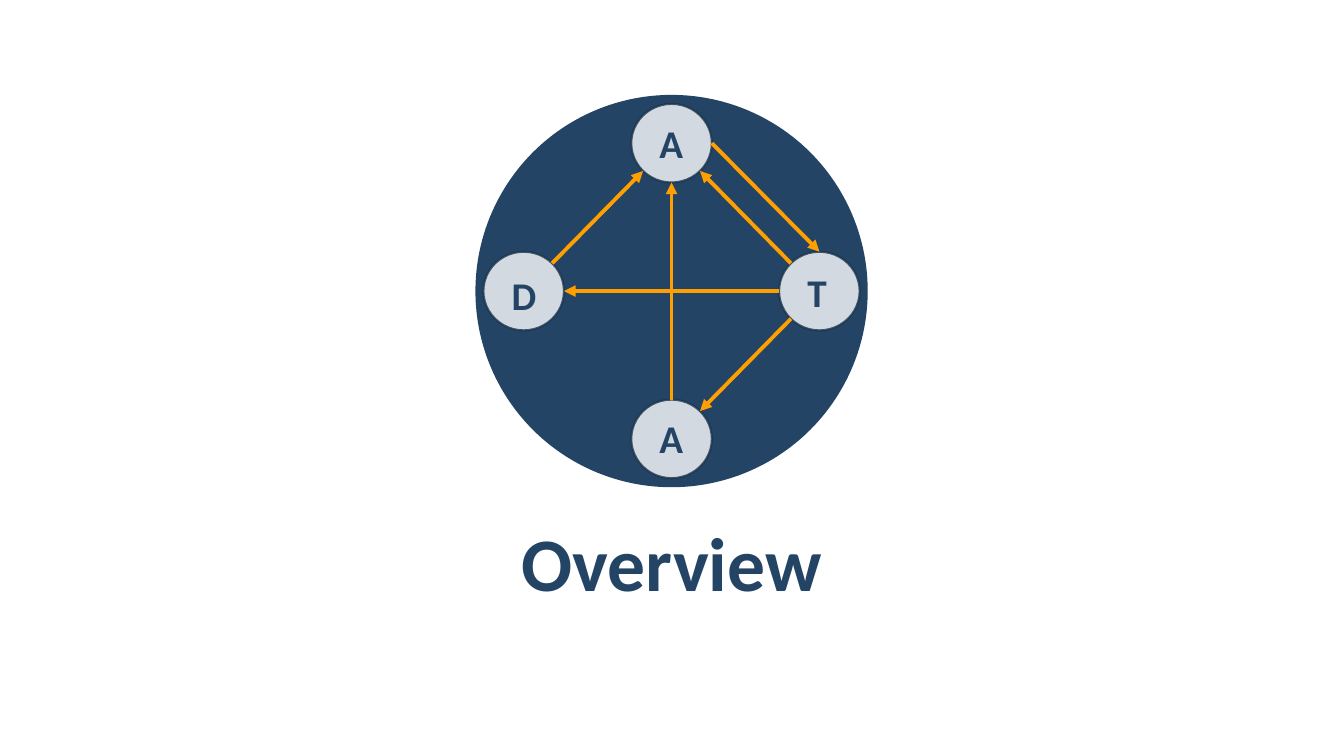
"""Builds the Overview slide: a disc with four lettered nodes joined by arrows."""
from dataclasses import dataclass
from math import cos, radians, sin

from lxml.etree import SubElement
from pptx import Presentation
from pptx.dml.color import RGBColor
from pptx.enum.shapes import MSO_CONNECTOR, MSO_SHAPE
from pptx.enum.text import MSO_ANCHOR, PP_ALIGN
from pptx.oxml.ns import qn
from pptx.shapes.autoshape import Shape
from pptx.slide import Slide
from pptx.util import Inches, Length, Pt

COLORS = {"navy": "234465", "outline": "1A334C", "node": "FFFFFF", "arrow": "FFA000"}
FONT = "Calibri"
COLUMNS, ROWS = 160, 90
CELL = Inches(1 / 12)
CENTER_COLUMN, CENTER_ROW = 79.95, 34.65
DISC_SIZE = 46.7
NODE_WIDTH, NODE_HEIGHT = 9.6, 9.36
LETTER_WIDTH, LETTER_HEIGHT = 6.72, 8.76
ORBIT = 17.6
OPACITY = 80


@dataclass(frozen=True)
class Node:
    letter: str
    angle: int
    letter_shift: float

    @property
    def center(self) -> tuple[float, float]:
        return (CENTER_COLUMN + ORBIT * cos(radians(self.angle)),
                CENTER_ROW - ORBIT * sin(radians(self.angle)))

    def rim(self, angle: int) -> tuple[float, float]:
        column, row = self.center
        return (column + NODE_WIDTH / 2 * cos(radians(angle)),
                row - NODE_HEIGHT / 2 * sin(radians(angle)))


@dataclass(frozen=True)
class Arrow:
    start: Node
    start_angle: int
    end: Node
    end_angle: int


TOP = Node("A", 90, -0.42)
LEFT = Node("D", 180, 0.06)
RIGHT = Node("T", 0, -0.3)
BOTTOM = Node("A", 270, -0.54)
NODES = (TOP, LEFT, RIGHT, BOTTOM)
ARROWS = (
    Arrow(LEFT, 45, TOP, 225),
    Arrow(TOP, 0, RIGHT, 90),
    Arrow(RIGHT, 225, BOTTOM, 45),
    Arrow(BOTTOM, 90, TOP, 270),
    Arrow(RIGHT, 180, LEFT, 0),
    Arrow(RIGHT, 135, TOP, 315),
)


def cells(count: float) -> Length:
    return Length(round(count * CELL))


def color(name: str) -> RGBColor:
    return RGBColor.from_string(COLORS[name])


def frame(center: tuple[float, float], width: float, height: float) -> list[Length]:
    column, row = center
    return [cells(value) for value in (column - width / 2, row - height / 2, width, height)]


def add_ellipse(page: Slide, center: tuple[float, float], width: float, height: float,
                fill: str) -> Shape:
    ellipse = page.shapes.add_shape(MSO_SHAPE.OVAL, *frame(center, width, height))
    ellipse.shadow.inherit = False
    ellipse.fill.solid()
    ellipse.fill.fore_color.rgb = color(fill)
    ellipse.line.fill.background()
    return ellipse


def add_node(page: Slide, node: Node) -> None:
    ellipse = add_ellipse(page, node.center, NODE_WIDTH, NODE_HEIGHT, "node")
    ellipse.line.color.rgb = color("outline")
    ellipse.line.width = Pt(1.5)
    for tint in ellipse._element.spPr.iter(qn("a:srgbClr")):
        SubElement(tint, qn("a:alpha"), val=str(OPACITY * 1000))


def add_arrow(page: Slide, arrow: Arrow) -> None:
    ends = arrow.start.rim(arrow.start_angle) + arrow.end.rim(arrow.end_angle)
    connector = page.shapes.add_connector(MSO_CONNECTOR.STRAIGHT, *map(cells, ends))
    connector.line.color.rgb = color("arrow")
    connector.line.width = Pt(2.75)
    SubElement(connector.line._get_or_add_ln(), qn("a:tailEnd"), type="triangle")
    SubElement(connector._element.spPr, qn("a:effectLst"))


def add_text(page: Slide, text: str, center: tuple[float, float], width: float, height: float,
             size: int, margins: tuple[float, float], align: PP_ALIGN, anchor: MSO_ANCHOR,
             spacing: float = 1.0) -> None:
    box = page.shapes.add_textbox(*frame(center, width, height)).text_frame
    box.word_wrap = True
    box.vertical_anchor = anchor
    box.margin_left = box.margin_right = Inches(margins[0])
    box.margin_top = box.margin_bottom = Inches(margins[1])
    para = box.paragraphs[0]
    para.text = text
    para.alignment = align
    para.line_spacing = spacing
    para.font.name = FONT
    para.font.size = Pt(size)
    para.font.bold = True
    para.font.color.rgb = color("navy")


def add_letter(page: Slide, node: Node) -> None:
    column, row = node.center
    add_text(page, node.letter, (column, row + node.letter_shift), LETTER_WIDTH, LETTER_HEIGHT,
             28, (0.16, 0.12), PP_ALIGN.LEFT, MSO_ANCHOR.TOP, 1.1)


def main() -> None:
    deck = Presentation()
    deck.slide_width, deck.slide_height = cells(COLUMNS), cells(ROWS)
    page = deck.slides.add_slide(deck.slide_layouts[6])
    add_ellipse(page, (CENTER_COLUMN, CENTER_ROW), DISC_SIZE, DISC_SIZE, "navy")
    add_text(page, "Overview", (CENTER_COLUMN, 66.84), 143.88, 10.08, 54,
             (0.12, 0.04), PP_ALIGN.CENTER, MSO_ANCHOR.MIDDLE)
    for node in NODES:
        add_node(page, node)
    for arrow in ARROWS:
        add_arrow(page, arrow)
    for node in NODES:
        add_letter(page, node)
    deck.save("out.pptx")


if __name__ == "__main__":
    main()
